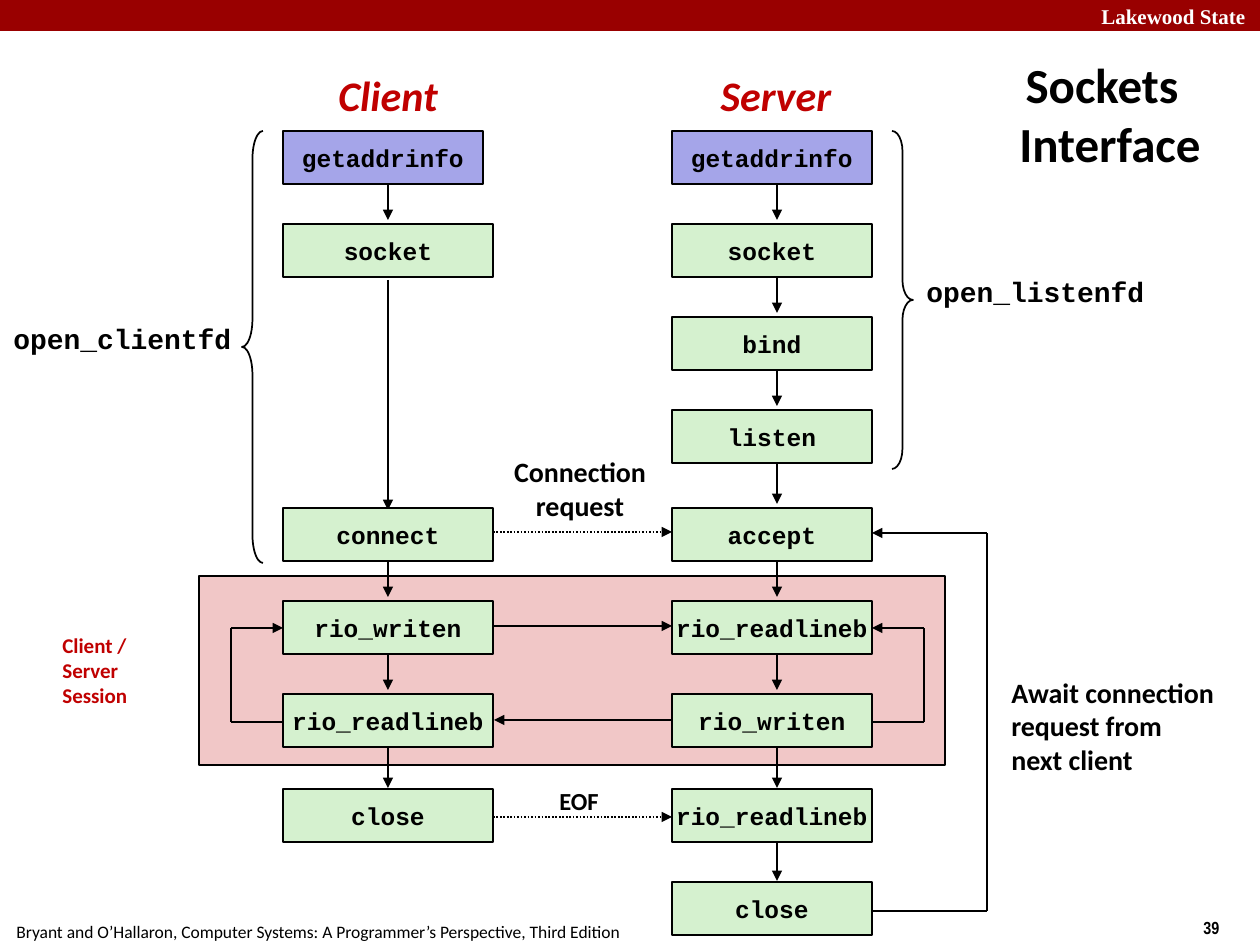
"""Builds the Sockets Interface slide: client and server call sequences."""
from itertools import pairwise

from pptx import Presentation
from pptx import util as u
from pptx.dml.color import RGBColor
from pptx.enum import dml, shapes, text
from pptx.oxml.ns import qn
from lxml import etree

PX = 914400 // 126
BLACK, RED, BAR, WHITE = "000000", "C00000", "990000", "FFFFFF"
BLUE, GREEN, PINK = "A5A5E9", "D5F1CF", "F1C7C7"
ROWS = (131, 224, 317, 410, 508, 601, 694, 789, 882)
BOX_H = 53
ALIGN = {"l": text.PP_ALIGN.LEFT, "c": text.PP_ALIGN.CENTER}


def px(*values):
    """Turn pixel lengths into EMU."""
    return [u.Emu(v * PX) for v in values]


def rgb(value):
    """Turn a hex string into a colour."""
    return RGBColor.from_string(value)


def write(tf, words, size, font="Calibri", color=BLACK, align="l", bold=True, italic=False):
    """Fill a text frame and format every run."""
    tf.text = words
    tf.vertical_anchor = text.MSO_ANCHOR.MIDDLE
    for p in tf.paragraphs:
        p.alignment = ALIGN[align]
        for r in p.runs:
            f = r.font
            f.name, f.size, f.bold, f.italic = font, u.Pt(size), bold, italic
            f.color.rgb = rgb(color)


def label(s, box, words, size, wrap=False, **style):
    """Place a text box."""
    tf = s.shapes.add_textbox(*px(*box)).text_frame
    write(tf, words, size, **style)
    tf.word_wrap = wrap
    tf.auto_size = text.MSO_AUTO_SIZE.SHAPE_TO_FIT_TEXT


def shape(s, kind, box, fill=None, line=BLACK):
    """Place a preset shape with flat fill and thin outline."""
    sp = s.shapes.add_shape(kind, *px(*box))
    sp.shadow.inherit = False
    if fill:
        sp.fill.solid()
        sp.fill.fore_color.rgb = rgb(fill)
    else:
        sp.fill.background()
    if line:
        sp.line.color.rgb = rgb(line)
        sp.line.width = u.Pt(1)
    else:
        sp.line.fill.background()
    return sp


def arrow(s, *points, dotted=False):
    """Join points by straight lines, with an arrowhead at the last point."""
    for start, end in pairwise(points):
        c = s.shapes.add_connector(shapes.MSO_CONNECTOR.STRAIGHT, *px(*start, *end))
        c.line.color.rgb = rgb(BLACK)
        c.line.width = u.Pt(1)
        if dotted:
            c.line.dash_style = dml.MSO_LINE.ROUND_DOT
        spPr = c._element.spPr
        if end == points[-1]:
            etree.SubElement(spPr.get_or_add_ln(), qn("a:tailEnd"), type="triangle")
        etree.SubElement(spPr, qn("a:effectLst"))


def brace(s, kind, box, curve, words, words_box):
    """Place a brace and the name of the function it stands for."""
    sp = shape(s, kind, box)
    sp.adjustments[0], sp.adjustments[1] = curve, 0.5
    label(s, words_box, words, 16, wrap=True, font="Courier New", align="c")


def steps(s, left, width, calls):
    """Place one column of calls, given as pairs of row and name."""
    for row, name in calls:
        first = row == 0
        box = (left, ROWS[row], 200 if first else width, BOX_H)
        tf = shape(s, shapes.MSO_SHAPE.RECTANGLE, box, BLUE if first else GREEN).text_frame
        write(tf, name, 14, font="Courier New", align="c")
        tf.word_wrap = False


def down_arrows(s, x, rows):
    """Place the arrows that lead down into the given rows."""
    for row in rows:
        end = ROWS[row] - (4 if row < 7 else 1)
        arrow(s, (x, end - 42), (x, end))


def frame(s):
    """Place the top bar, the footer and the page number."""
    shape(s, shapes.MSO_SHAPE.RECTANGLE, (0, 0, 1260, 31), BAR, None)
    label(s, (1089, -3, 171, 38), "Lakewood State", 12, wrap=True,
          font="Times New Roman", color=WHITE)
    label(s, (1191, 911, 69, 34), "39", 10, font="Arial Narrow")
    label(s, (4, 914, 650, 34), "Bryant and O’Hallaron, Computer Systems: "
          "A Programmer’s Perspective, Third Edition", 10, wrap=True, bold=False)


def title(s, box):
    """Move and format the title placeholder."""
    sp = s.shapes.title
    sp.left, sp.top, sp.width, sp.height = px(*box)
    tf = sp.text_frame
    write(tf, "Sockets Interface", 28, align="c")
    tf.word_wrap = True
    tf.auto_size = text.MSO_AUTO_SIZE.NONE
    pPr = tf.paragraphs[0]._p.get_or_add_pPr()
    pPr.set("marL", str(16 * PX))
    pPr.set("indent", str(-16 * PX))


def session(s, box):
    """Place the session panel with its two loops."""
    shape(s, shapes.MSO_SHAPE.RECTANGLE, box, PINK)
    left, top, width, _ = box
    low, high = top + 146, top + 52
    for edge, turn in ((left + 84, left + 32), (left + width - 73, left + width - 21)):
        arrow(s, (edge, low), (turn, low), (turn, high), (edge, high))
    label(s, (50, 626, 129, 88), "Client / Server\nSession", 12, wrap=True, color=RED)


def messages(s, left, right):
    """Place the arrows between the columns and their labels."""
    hidden = left - 74
    arrow(s, (hidden, 532), (right, 532), dotted=True)
    arrow(s, (left, 626), (right, 626))
    arrow(s, (right, 720), (left, 720))
    arrow(s, (hidden, 817), (right, 817), dotted=True)
    label(s, (495, 449, 170, 79), "Connection\nrequest", 16, align="c")
    label(s, (539, 780, 80, 42), "EOF", 14, align="c")


def await_loop(s, edge, turn):
    """Place the path from the last close back to accept."""
    arrow(s, (edge, 911), (turn, 911), (turn, 533), (edge, 533))
    label(s, (999, 669, 240, 113), "Await connection\nrequest from\nnext client", 16, wrap=True)


def main():
    """Build and save the slide."""
    prs = Presentation()
    prs.slide_width, prs.slide_height = px(1260, 945)
    s = prs.slides.add_slide(prs.slide_layouts[5])
    frame(s)
    title(s, (955, 31, 294, 165))
    session(s, (199, 576, 746, 189))
    for name, center in (("Client", 388), ("Server", 776)):
        label(s, (center - 80, 63, 160, 63), name, 24, color=RED, align="c", italic=True)
    down_arrows(s, 388, (1, 5, 6, 7))
    arrow(s, (388, 280), (388, 510))
    down_arrows(s, 777, range(1, 9))
    messages(s, 494, 672)
    await_loop(s, 872, 987)
    steps(s, 283, 210, ((0, "getaddrinfo"), (1, "socket"), (4, "connect"),
                        (5, "rio_writen"), (6, "rio_readlineb"), (7, "close")))
    steps(s, 672, 200, enumerate(("getaddrinfo", "socket", "bind", "listen", "accept",
                                  "rio_readlineb", "rio_writen", "rio_readlineb", "close")))
    brace(s, shapes.MSO_SHAPE.RIGHT_BRACE, (892, 131, 21, 338), 0.96,
          "open_listenfd", (914, 268, 243, 47))
    brace(s, shapes.MSO_SHAPE.LEFT_BRACE, (242, 131, 21, 432), 1.33,
          "open_clientfd", (1, 315, 243, 47))
    prs.save("out.pptx")


if __name__ == "__main__":
    main()
